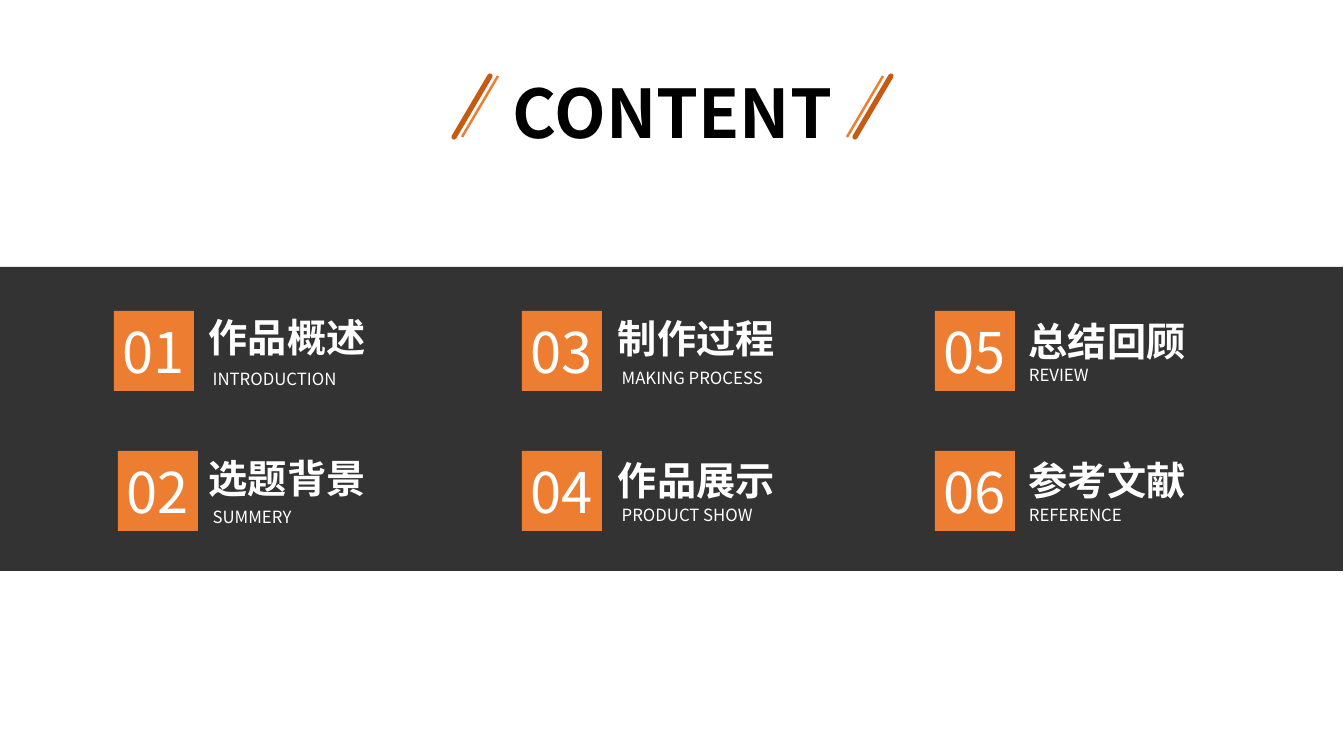
from lxml.etree import SubElement as Sub
from pptx import Presentation
from pptx.dml.color import RGBColor as RGB
from pptx.enum.shapes import MSO_CONNECTOR as Conn, MSO_SHAPE as Kind
from pptx.enum.text import MSO_ANCHOR as Anchor, MSO_AUTO_SIZE as Fit, PP_ALIGN as Align
from pptx.oxml.ns import qn
from pptx.util import Pt

BLACK = RGB(0, 0, 0)
WHITE = RGB(255, 255, 255)
ORANGE = RGB(0xED, 0x7D, 0x31)
RUST = RGB(0xC5, 0x5A, 0x11)
FONT = "Noto Sans CJK SC"
SCALE = 914400 / 100.8


def px(*vals):
    return [round(v * SCALE) for v in vals]


class Deck:
    def __init__(self, wide, high):
        self.prs = Presentation()
        self.prs.slide_width, self.prs.slide_height = px(wide, high)
        self.slide = self.prs.slides.add_slide(self.prs.slide_layouts[5])
        self.shapes = self.slide.shapes

    def put(self, box, text, size, color=WHITE, bold=False,
            align=Align.LEFT, anchor=Anchor.TOP, wrap=True):
        frame = box.text_frame
        frame.word_wrap = wrap
        frame.auto_size = Fit.SHAPE_TO_FIT_TEXT
        frame.vertical_anchor = anchor
        para = frame.paragraphs[0]
        para.alignment = align
        run = para.add_run()
        run.text = text
        font = run.font
        font.name, font.size, font.bold = FONT, Pt(size), bold
        font.color.rgb = color
        Sub(run._r.get_or_add_rPr(), qn("a:ea")).set("typeface", FONT)

    def title(self, text, *area):
        box = self.shapes.title
        box.left, box.top, box.width, box.height = px(*area)
        self.put(box, text, 48, BLACK, True, Align.CENTER, wrap=False)

    def label(self, text, area, size, **style):
        self.put(self.shapes.add_textbox(*px(*area)), text, size, **style)

    def rect(self, area, color, alpha=None):
        box = self.shapes.add_shape(Kind.RECTANGLE, *px(*area))
        box.shadow.inherit = False
        box.line.fill.background()
        box.fill.solid()
        box.fill.fore_color.rgb = color
        if alpha:
            tint = box._element.spPr.find(qn("a:solidFill"))[0]
            Sub(tint, qn("a:alpha")).set("val", str(alpha * 1000))

    def line(self, ends, color, width, cap="flat"):
        rule = self.shapes.add_connector(Conn.STRAIGHT, *px(*ends))
        rule.line.color.rgb = color
        rule.line.width = Pt(width)
        props = rule._element.spPr
        props.find(qn("a:ln")).set("cap", cap)
        Sub(props, qn("a:effectLst"))


def main():
    deck = Deck(1344, 756)

    # Dark band
    deck.rect((-6, 267, 1349, 304), BLACK, 80)

    # Title between two pairs of slashes
    deck.title("CONTENT", 492, 66, 361, 92)
    for x in (498, 883):
        deck.line((x, 76, x - 36, 137), ORANGE, 1.75)
    for x in (891, 490):
        deck.line((x, 76, x - 36, 137), RUST, 3.75, "rnd")

    # Entries: square left, text left, then head, head top, note, note top, note width
    entries = [
        (114, 199, "作品概述", 308, " INTRODUCTION", 364, 157),
        (118, 199, "选题背景", 449, " SUMMERY", 502, 111),
        (522, 608, "制作过程", 309, " MAKING PROCESS", 363, 176),
        (522, 608, "作品展示", 451, " PRODUCT SHOW", 500, 166),
        (935, 1019, "总结回顾", 312, "REVIEW", 360, 84),
        (935, 1019, "参考文献", 451, "REFERENCE", 500, 114),
    ]
    for i, (left, x, head, top, note, low, wide) in enumerate(entries):
        y = 311 + i % 2 * 140
        deck.label(head, (x, top, 212, 57), 28, bold=True, anchor=Anchor.MIDDLE)
        deck.label(note, (x, low, wide, 30), 12, wrap=False)
        deck.rect((left, y, 80, 80), ORANGE)
        deck.label(f"{i + 1:02}", (left - 7, y + 1, 94, 78), 40,
                   align=Align.CENTER, anchor=Anchor.MIDDLE)

    deck.prs.save("out.pptx")


if __name__ == "__main__":
    main()
